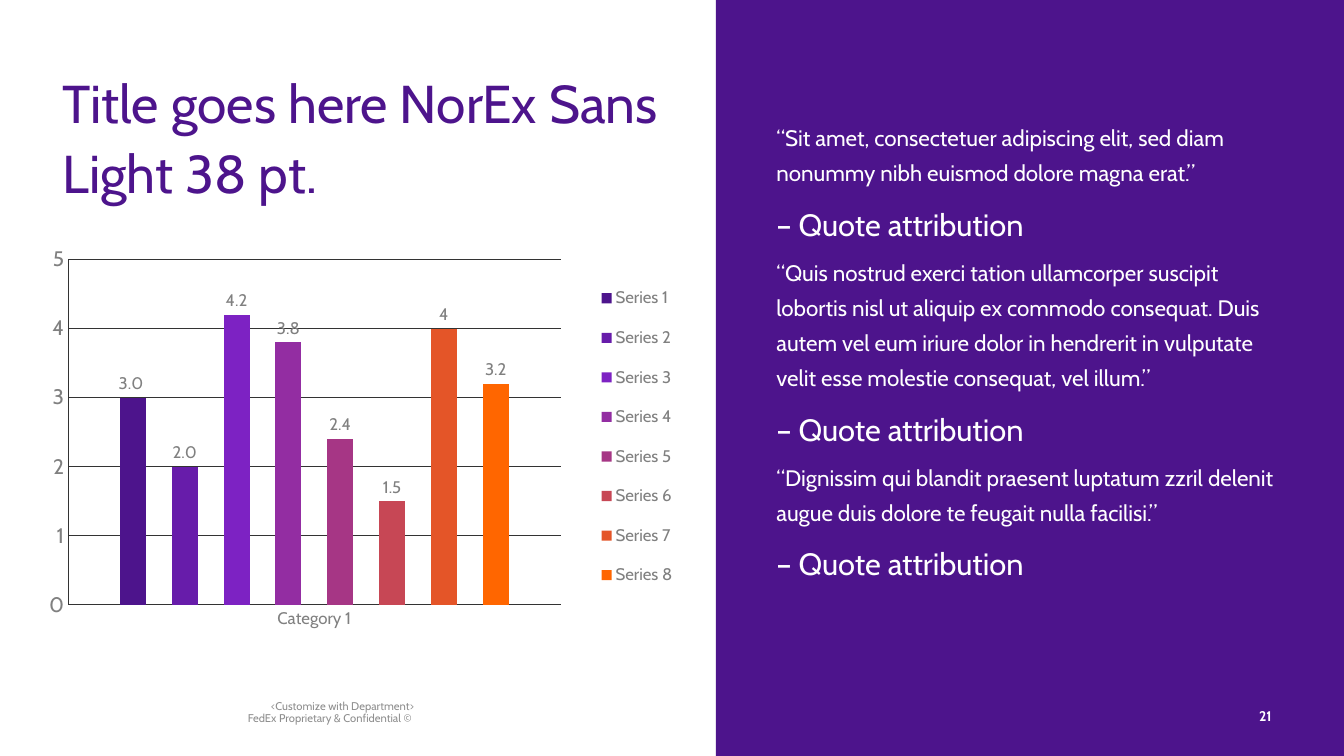
"""Build a slide with a column chart beside a panel of quotes."""
from lxml.etree import SubElement
from pptx import Presentation
from pptx.chart.data import CategoryChartData
from pptx.dml.color import RGBColor
from pptx.enum.chart import (XL_CHART_TYPE as ChartType, XL_LABEL_POSITION as LabelPos,
                             XL_LEGEND_POSITION as LegendPos, XL_TICK_MARK as Tick)
from pptx.enum.shapes import MSO_SHAPE as Shape
from pptx.enum.text import MSO_ANCHOR as Anchor, MSO_AUTO_SIZE as AutoSize, PP_ALIGN as Align
from pptx.oxml.ns import qn
from pptx.util import Inches, Pt

PURPLE = RGBColor(0x4D, 0x14, 0x8C)
WHITE = RGBColor(0xFF, 0xFF, 0xFF)
GRAY = RGBColor(0x80, 0x80, 0x80)
FOOTER_GRAY = RGBColor(0x8E, 0x8E, 0x8E)
DARK = RGBColor(0x33, 0x33, 0x33)
FONT = "Cabin"
SLIDE_W, SLIDE_H, PANEL_X = 13.33, 7.5, 7.1

TITLE = "Title goes here NorEx Sans Light 38 pt."
ATTRIBUTION = "– Quote attribution"
QUOTES = [
    "“Sit amet, consectetuer adipiscing elit, sed diam nonummy nibh euismod dolore magna erat.”",
    "“Quis nostrud exerci tation ullamcorper suscipit lobortis nisl ut aliquip ex commodo "
    "consequat. Duis autem vel eum iriure dolor in hendrerit in vulputate velit esse molestie "
    "consequat, vel illum.”",
    "“Dignissim qui blandit praesent luptatum zzril delenit augue duis dolore te feugait nulla "
    "facilisi.”",
]
FOOTER = ["<Customize with Department>", "FedEx Proprietary & Confidential © "]
PAGE_NUMBER = "21"
CATEGORY = "Category 1"
SERIES = [
    (3, "4D148C", r"#,##0.0_);[Red]\(#,##0.0\)"),
    (2, "671CAA", "#,##0.0"),
    (4.2, "7D22C3", "General"),
    (3.8, "932DA2", "General"),
    (2.4, "A63685", "General"),
    (1.5, "C74755", "General"),
    (4, "E45528", "General"),
    (3.2, "FF6600", "General"),
]
PLOT_AREA = (0.06, 0.06, 0.74, 0.75)
LEGEND_AREA = (0.84, 0.08, 0.15, 0.73)


def box(*lengths):
    return [Inches(v) for v in lengths]


def style(font, size, color, bold=False):
    font.name, font.size, font.bold = FONT, Pt(size), bold
    font.color.rgb = color


def add_run(p, text, size, color, bold=False):
    r = p.add_run()
    r.text = text
    style(r.font, size, color, bold)


def set_insets(tf, left, top, right, bottom):
    tf.margin_left, tf.margin_top, tf.margin_right, tf.margin_bottom = box(
        left, top, right, bottom)


def set_layout(parent, index, area, inner=False):
    for old in parent.findall(qn("c:layout")):
        parent.remove(old)
    layout = SubElement(parent, qn("c:layout"))
    parent.insert(index, layout)
    manual = SubElement(layout, qn("c:manualLayout"))
    settings = [("layoutTarget", "inner")] if inner else []
    settings += [("xMode", "edge"), ("yMode", "edge"), *zip("xywh", area)]
    for tag, value in settings:
        SubElement(manual, qn(f"c:{tag}")).set("val", str(value))


def add_title(slide):
    s = slide.shapes.title
    s.left, s.top, s.width, s.height = box(0.62, 0.63, 5.92, 1.21)
    tf = s.text_frame
    tf.word_wrap, tf.auto_size, tf.vertical_anchor = True, AutoSize.NONE, Anchor.TOP
    set_insets(tf, 0, 0, 0, 0)
    p = tf.paragraphs[0]
    p.alignment, p.line_spacing = Align.LEFT, 1.1
    add_run(p, TITLE, 38, PURPLE)


def add_quotes(slide):
    s = slide.shapes.add_shape(Shape.RECTANGLE,
                               *box(PANEL_X, 0, SLIDE_W - PANEL_X, SLIDE_H))
    s.shadow.inherit = False
    s.fill.solid()
    s.fill.fore_color.rgb = PURPLE
    s.line.fill.background()
    tf = s.text_frame
    tf.word_wrap, tf.vertical_anchor = True, Anchor.MIDDLE
    set_insets(tf, 0.6, 0.6, 0.6, 1.17)
    lines = [line for quote in QUOTES for line in ((quote, 16), (ATTRIBUTION, 22))]
    for i, (text, size) in enumerate(lines):
        p = tf.add_paragraph() if i else tf.paragraphs[0]
        p.alignment, p.line_spacing, p.space_after = Align.LEFT, 1.3, Pt(6)
        add_run(p, text, size, WHITE)


def add_chart(slide):
    data = CategoryChartData()
    data.categories = [CATEGORY]
    for n, (value, _, _) in enumerate(SERIES, 1):
        data.add_series(f"Series {n}", [value])
    chart = slide.shapes.add_chart(ChartType.COLUMN_CLUSTERED,
                                   *box(0.28, 2.3, 6.6, 4.57), data).chart
    chart.has_title = False
    style(chart.font, 15, GRAY)

    plot = chart.plots[0]
    plot.gap_width, plot.overlap, plot.vary_by_categories = 400, -100, False
    for series, (_, color, number_format) in zip(plot.series, SERIES):
        series.format.fill.solid()
        series.format.fill.fore_color.rgb = RGBColor.from_string(color)
        labels = series.data_labels
        labels.show_value, labels.position = True, LabelPos.OUTSIDE_END
        labels.number_format, labels.number_format_is_linked = number_format, False
        style(labels.font, 12, GRAY)

    for axis, size in ((chart.category_axis, 12), (chart.value_axis, 15)):
        axis.major_tick_mark = axis.minor_tick_mark = Tick.NONE
        axis.format.line.color.rgb, axis.format.line.width = DARK, Pt(0.75)
        style(axis.tick_labels.font, size, GRAY)
    axis = chart.value_axis
    axis.minimum_scale, axis.maximum_scale, axis.major_unit = 0, 5, 1
    grid = axis.major_gridlines.format.line
    grid.color.rgb, grid.width = DARK, Pt(0.5)

    chart.has_legend = True
    legend = chart.legend
    legend.position, legend.include_in_layout = LegendPos.RIGHT, False
    style(legend.font, 12, GRAY)
    set_layout(next(chart.element.iter(qn("c:plotArea"))), 0, PLOT_AREA, inner=True)
    set_layout(next(chart.element.iter(qn("c:legend"))), 1, LEGEND_AREA)


def add_note(slide, area, lines, size, color, bold=False, spacing=1.0):
    tf = slide.shapes.add_textbox(*box(*area)).text_frame
    tf.word_wrap = True
    p = tf.paragraphs[0]
    p.alignment, p.line_spacing = Align.RIGHT, spacing
    for i, line in enumerate(lines):
        if i:
            p.add_line_break()
        add_run(p, line, size, color, bold)


def main():
    prs = Presentation()
    prs.slide_width, prs.slide_height = box(SLIDE_W, SLIDE_H)
    slide = prs.slides.add_slide(prs.slide_layouts[5])
    add_title(slide)
    add_quotes(slide)
    add_note(slide, (10.92, 6.97, 1.79, 0.24), [PAGE_NUMBER], 10, WHITE, bold=True)
    add_chart(slide)
    add_note(slide, (1.96, 6.9, 2.25, 0.53), FOOTER, 8, FOOTER_GRAY, spacing=0.9)
    prs.save("out.pptx")


if __name__ == "__main__":
    main()
